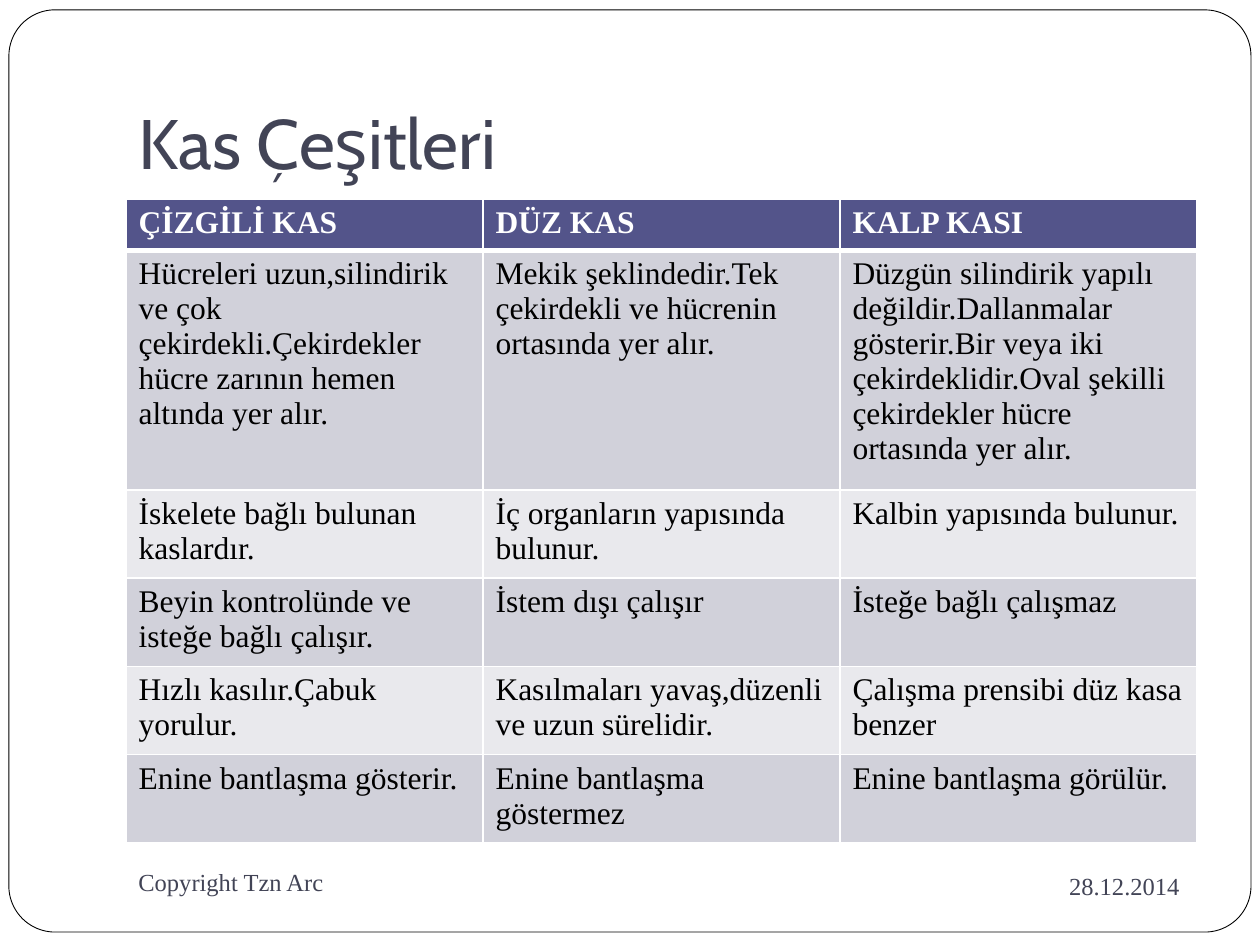
"""Build a slide with a table that compares the three kinds of muscle."""
from lxml.etree import SubElement
from pptx import Presentation
from pptx.dml.color import RGBColor as Rgb
from pptx.enum.shapes import MSO_SHAPE as Shape
from pptx.enum.text import MSO_ANCHOR as Anchor, PP_ALIGN as Align
from pptx.oxml import parse_xml
from pptx.oxml.ns import nsdecls, qn
from pptx.util import Cm, Pt

HUES = {"ink": "424456", "head": "53548A", "odd": "D1D1DA",
        "even": "E9E9ED", "white": "FFFFFF", "black": "000000"}
HUES = {name: Rgb.from_string(code) for name, code in HUES.items()}
SERIF = "Times New Roman"


def style(para, hue, **look):
    for key, value in look.items():
        setattr(para.font, key, value)
    para.font.color.rgb = HUES[hue]


def edge(cell, side, width):
    line = parse_xml(f'<a:ln{side} {nsdecls("a")} w="{Pt(width)}"/>')
    fill = SubElement(line, qn("a:solidFill"))
    SubElement(fill, qn("a:srgbClr"), val=str(HUES["white"]))
    return line


deck = Presentation()
deck.slide_width, deck.slide_height = Cm(25.4), Cm(19.05)
slide = deck.slides.add_slide(deck.slide_layouts[6])

frame = slide.shapes.add_shape(
    Shape.ROUNDED_RECTANGLE, Cm(0.18), Cm(0.2), Cm(25.04), Cm(18.59))
frame.adjustments[0] = 0.05
frame.shadow.inherit = False
frame.fill.solid()
frame.fill.fore_color.rgb = HUES["white"]
frame.line.color.rgb = HUES["black"]
frame.line.width = Pt(0.5)

labels = [
    ("Kas Çeşitleri", (2.54, 0.76, 21.59, 3.18), Anchor.BOTTOM, Align.LEFT,
     {"size": Pt(40), "name": "Cabin"}, 0.25),
    ("28.12.2014", (17.15, 17.2, 6.88, 1.32), Anchor.MIDDLE, Align.RIGHT,
     {"size": Pt(14), "name": SERIF}, 0.13),
    ("Copyright Tzn Arc", (2.54, 17.15, 11, 1.27), Anchor.MIDDLE, Align.LEFT,
     {"size": Pt(14), "name": SERIF}, 0.13),
]
for text, place, anchor, align, look, base in labels:
    body = slide.shapes.add_textbox(*map(Cm, place)).text_frame
    setup = {"word_wrap": True, "vertical_anchor": anchor,
             "margin_bottom": Cm(base), "text": text}
    for key, value in setup.items():
        setattr(body, key, value)
    para = body.paragraphs[0]
    para.alignment = align
    style(para, "ink", **look)

rows = [
    ("ÇİZGİLİ KAS", "DÜZ KAS", "KALP KASI"),
    ("Hücreleri uzun,silindirik ve çok çekirdekli.Çekirdekler hücre "
     "zarının hemen altında yer alır.",
     "Mekik şeklindedir.Tek çekirdekli ve hücrenin ortasında yer alır.",
     "Düzgün silindirik yapılı değildir.Dallanmalar gösterir.Bir veya iki "
     "çekirdeklidir.Oval şekilli çekirdekler hücre ortasında yer alır."),
    ("İskelete bağlı bulunan kaslardır.",
     "İç organların yapısında bulunur.",
     "Kalbin yapısında bulunur."),
    ("Beyin kontrolünde ve isteğe bağlı çalışır.",
     "İstem dışı çalışır",
     "İsteğe bağlı çalışmaz"),
    ("Hızlı kasılır.Çabuk yorulur.",
     "Kasılmaları yavaş,düzenli ve uzun sürelidir.",
     "Çalışma prensibi düz kasa benzer"),
    ("Enine bantlaşma gösterir.",
     "Enine bantlaşma göstermez",
     "Enine bantlaşma görülür."),
]
high = 1.03
table = slide.shapes.add_table(
    len(rows), 3, Cm(2.54), Cm(4.02), Cm(21.59), Cm(high * len(rows))).table
for r, row in enumerate(rows):
    table.rows[r].height = Cm(high)
    head = r == 0
    shade = "head" if head else "odd" if r % 2 else "even"
    widths = {"L": 1, "R": 1, "T": 3 if r == 1 else 1, "B": 3 if head else 1}
    for c, text in enumerate(row):
        cell = table.cell(r, c)
        cell.text = text
        cell.fill.solid()
        cell.fill.fore_color.rgb = HUES[shade]
        style(cell.text_frame.paragraphs[0], "white" if head else "black",
              size=Pt(18), name=SERIF, bold=head)
        props = cell._tc.get_or_add_tcPr()
        for i, (side, width) in enumerate(widths.items()):
            props.insert(i, edge(cell, side, width))

deck.save("out.pptx")
